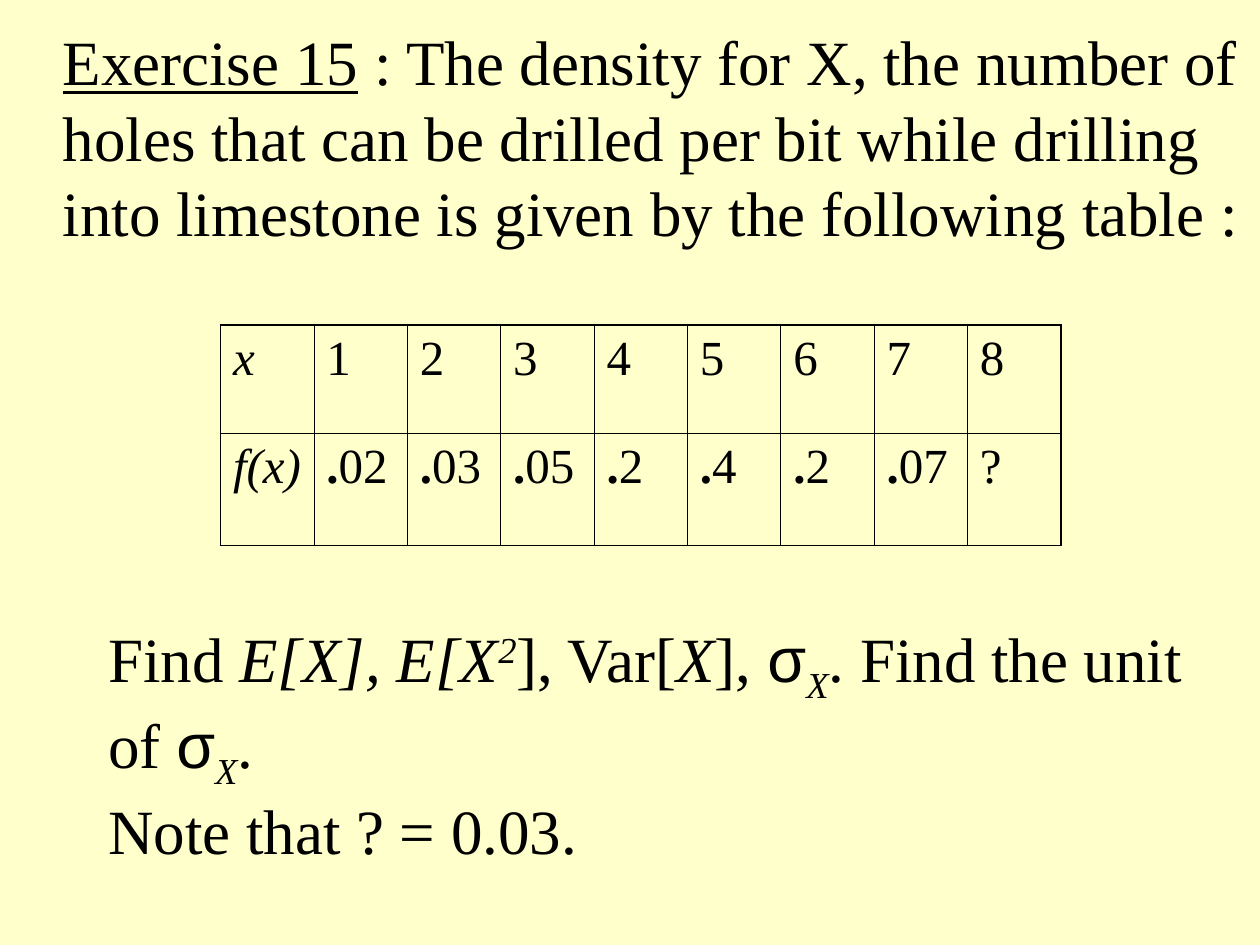
import pptx
import pptx.dml.color
import pptx.enum.text
import pptx.oxml
import pptx.oxml.ns
import pptx.util
from pptx.util import Inches

SERIF = "Times New Roman"
TITLE = [
    [("Exercise 15", {"underline": True}), (" : The density for X, the number of", {})],
    [("holes that can be drilled per bit while drilling", {})],
    [("into limestone is given by the following table :", {})],
]
ITALIC = {"italic": True}
SIGMA_X = [("σ", {"name": "Arial"}), ("X", {"italic": True, "baseline": -25000})]
QUESTION = [
    [("Find ", {}), ("E[X], E[X", ITALIC), ("2", {"italic": True, "baseline": 30000}),
     ("], Var[", {}), ("X", ITALIC), ("], ", {}), *SIGMA_X, (". Find the unit", {})],
    [("of ", {}), *SIGMA_X, (".", {})],
    [("Note that ? = 0.03.", {})],
]
DENSITY = [
    ["x", "1", "2", "3", "4", "5", "6", "7", "8"],
    ["f(x)", ".02", ".03", ".05", ".2", ".4", ".2", ".07", "?"],
]


def rgb(value):
    """Return the colour for a hex string."""
    return pptx.dml.color.RGBColor.from_string(value)


def write_paragraph(para, spans, size):
    """Fill a paragraph with formatted spans."""
    for text, changes in spans:
        span = para.add_run()
        span.text = text
        values = {"name": SERIF, "size": pptx.util.Pt(size), **changes}
        baseline = values.pop("baseline", None)
        for key, value in values.items():
            setattr(span.font, key, value)
        span.font.color.rgb = rgb("000000")
        if baseline:
            span.font._element.set("baseline", str(baseline))


def add_text(page, left, top, width, height, paragraphs):
    """Add an unwrapped text box of 36 point paragraphs."""
    box = page.shapes.add_textbox(Inches(left), Inches(top), Inches(width), Inches(height))
    frame = box.text_frame
    frame.word_wrap = False
    frame.auto_size = pptx.enum.text.MSO_AUTO_SIZE.SHAPE_TO_FIT_TEXT
    for index, spans in enumerate(paragraphs):
        para = frame.add_paragraph() if index else frame.paragraphs[0]
        write_paragraph(para, spans, 36)


def set_borders(cell, widths):
    """Draw black cell borders with the given point widths by side."""
    properties = cell._tc.get_or_add_tcPr()
    for index, (side, width) in enumerate(widths.items()):
        line = pptx.oxml.parse_xml(
            f'<a:ln{side} {pptx.oxml.ns.nsdecls("a")} w="{pptx.util.Pt(width)}">'
            '<a:solidFill><a:srgbClr val="000000"/></a:solidFill>'
            f'</a:ln{side}>')
        properties.insert(index, line)


def cell_spans(text, first):
    """Split a cell's text into an italic label or a bold point and digits."""
    if first:
        return [(text, ITALIC)]
    if text.startswith("."):
        return [(".", {"bold": True}), (text[1:], {})]
    return [(text, {})]


def add_density_table(page, left, top, width, heights, rows):
    """Add the unfilled density table with a heavier outer border."""
    last_row, last_column = len(rows) - 1, len(rows[0]) - 1
    frame = page.shapes.add_table(len(rows), len(rows[0]), Inches(left), Inches(top),
                                  Inches(width), Inches(sum(heights)))
    table = frame.table
    table.first_row = table.horz_banding = False
    for row, height in zip(table.rows, heights):
        row.height = Inches(height)
    for r, texts in enumerate(rows):
        for c, text in enumerate(texts):
            cell = table.cell(r, c)
            cell.fill.background()
            outer = {"L": c == 0, "R": c == last_column, "T": r == 0, "B": r == last_row}
            set_borders(cell, {side: 1.08 if edge else 0.45 for side, edge in outer.items()})
            para = cell.text_frame.paragraphs[0]
            para.space_before = pptx.util.Pt(7)
            write_paragraph(para, cell_spans(text, c == 0), 28)


def main():
    """Build and save the exercise slide."""
    deck = pptx.Presentation()
    deck.slide_width, deck.slide_height = Inches(10), Inches(7.5)
    page = deck.slides.add_slide(deck.slide_layouts[6])
    page.background.fill.solid()
    page.background.fill.fore_color.rgb = rgb("FFFFCC")
    add_text(page, 0.4, 0.13, 9.65, 2.5, TITLE)
    add_density_table(page, 1.75, 2.58, 6.67, [0.86, 0.89], DENSITY)
    add_text(page, 0.76, 4.87, 8.9, 2.07, QUESTION)
    deck.save("out.pptx")


if __name__ == "__main__":
    main()
